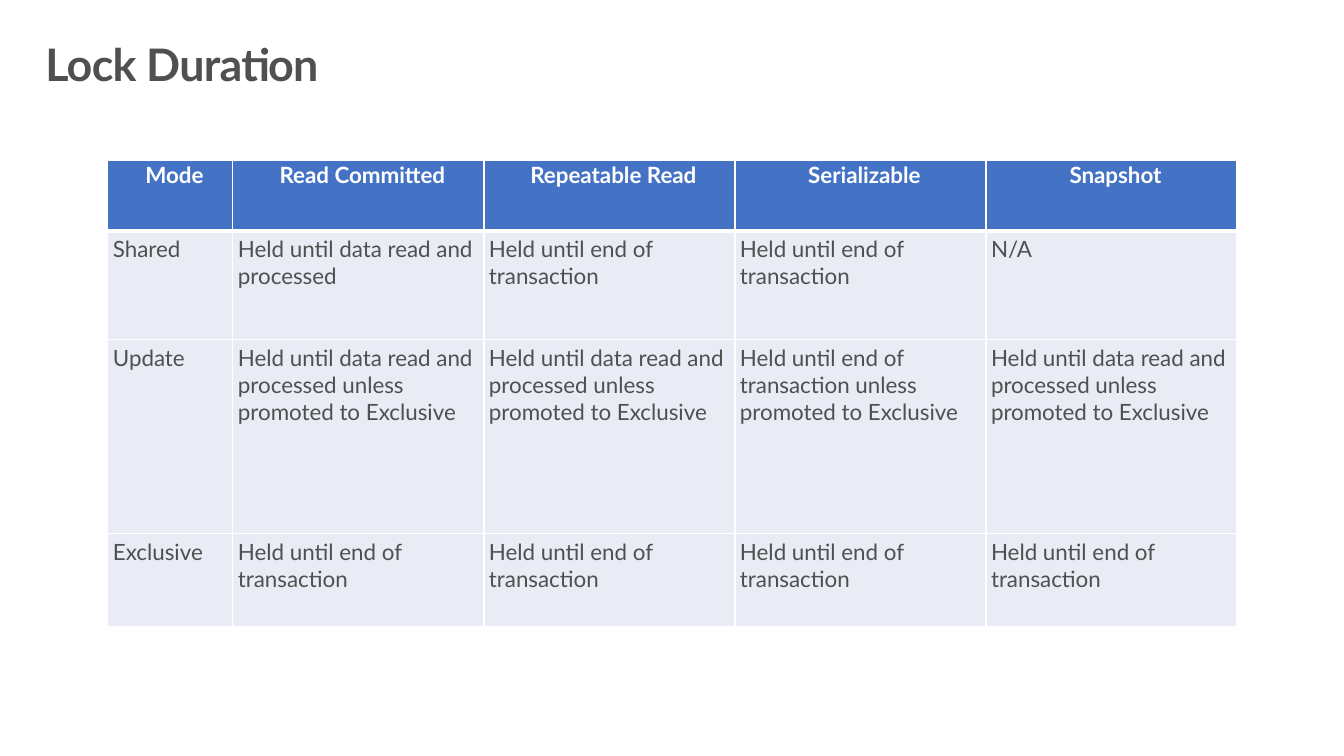
from lxml import etree
from pptx import Presentation
from pptx.dml.color import RGBColor
from pptx.enum.text import MSO_ANCHOR, PP_ALIGN
from pptx.oxml.ns import qn
from pptx.util import Inches, Pt

TOP = MSO_ANCHOR.TOP
LEFT, CENTER = PP_ALIGN.LEFT, PP_ALIGN.CENTER
FONT = "Lato"
WHITE, GRAY, BLUE, PALE = "FFFFFF", "505050", "4472C4", "E9EBF5"

END = "Held until end of transaction"
READ = "Held until data read and processed"
PROMOTED = " unless promoted to Exclusive"
LOCKS = [
    ["Mode", "Read Committed", "Repeatable Read", "Serializable", "Snapshot"],
    ["Shared", READ, END, END, "N/A"],
    ["Update", READ + PROMOTED, READ + PROMOTED, END + PROMOTED, READ + PROMOTED],
    ["Exclusive", END, END, END, END],
]
COLUMN_WIDTHS = [1.24] + [2.49] * 4
ROW_HEIGHTS = [0.7, 1.08, 1.92, 0.93]


def color(value):
    return RGBColor.from_string(value)


def write(frame, text, size=16, ink=GRAY, bold=False, align=LEFT, spacing=None):
    """Fill a text frame with one formatted paragraph and return its run."""
    para = frame.paragraphs[0]
    para.alignment = align
    para.line_spacing = spacing
    span = para.add_run()
    span.text = text
    span.font.name = FONT
    span.font.size = Pt(size)
    span.font.bold = bold
    span.font.color.rgb = color(ink)
    return span


def set_margins(holder, left, top, right, bottom):
    holder.margin_left, holder.margin_top = Inches(left), Inches(top)
    holder.margin_right, holder.margin_bottom = Inches(right), Inches(bottom)


def set_borders(cell, top=1, bottom=1):
    """Draw white cell borders; widths are in points."""
    properties = cell._tc.get_or_add_tcPr()
    widths = {"a:lnL": 1, "a:lnR": 1, "a:lnT": top, "a:lnB": bottom}
    for position, (tag, width) in enumerate(widths.items()):
        line = etree.Element(qn(tag), w=str(Pt(width)))
        fill = etree.SubElement(line, qn("a:solidFill"))
        etree.SubElement(fill, qn("a:srgbClr"), val=WHITE)
        properties.insert(position, line)


def add_title(page, text, left, top, width, height):
    title = page.shapes.title
    title.left, title.top = Inches(left), Inches(top)
    title.width, title.height = Inches(width), Inches(height)
    frame = title.text_frame
    frame.word_wrap = True
    frame.vertical_anchor = TOP
    set_margins(frame, 0.16, 0.1, 0.16, 0.1)
    span = write(frame, text, size=32, bold=True, spacing=0.9)
    span.font._element.set("spc", "-50")


def format_cell(cell, text, row):
    header = row == 0
    cell.vertical_anchor = TOP
    cell.fill.solid()
    cell.fill.fore_color.rgb = color(BLUE if header else PALE)
    if header:
        set_margins(cell, 0.09, 0.01, 0.01, 0)
        write(cell.text_frame, text, ink=WHITE, bold=True, align=CENTER)
    else:
        set_margins(cell, 0.05, 0.05, 0.05, 0.05)
        write(cell.text_frame, text)
    set_borders(cell, top=3 if row == 1 else 1, bottom=3 if header else 1)


def add_lock_table(page, left, top):
    frame = page.shapes.add_table(
        len(LOCKS), len(COLUMN_WIDTHS), Inches(left), Inches(top),
        Inches(sum(COLUMN_WIDTHS)), Inches(sum(ROW_HEIGHTS)))
    table = frame.table
    for column, width in zip(table.columns, COLUMN_WIDTHS):
        column.width = Inches(width)
    for row, height in zip(table.rows, ROW_HEIGHTS):
        row.height = Inches(height)
    for row, texts in enumerate(LOCKS):
        for column, text in enumerate(texts):
            format_cell(table.cell(row, column), text, row)


def main():
    deck = Presentation()
    deck.slide_width, deck.slide_height = Inches(13.33), Inches(7.5)
    page = deck.slides.add_slide(deck.slide_layouts.get_by_name("Title Only"))
    page.background.fill.solid()
    page.background.fill.fore_color.rgb = color(WHITE)
    add_title(page, "Lock Duration", 0.29, 0.32, 12.75, 0.98)
    add_lock_table(page, 1.07, 1.59)
    deck.save("out.pptx")


if __name__ == "__main__":
    main()
